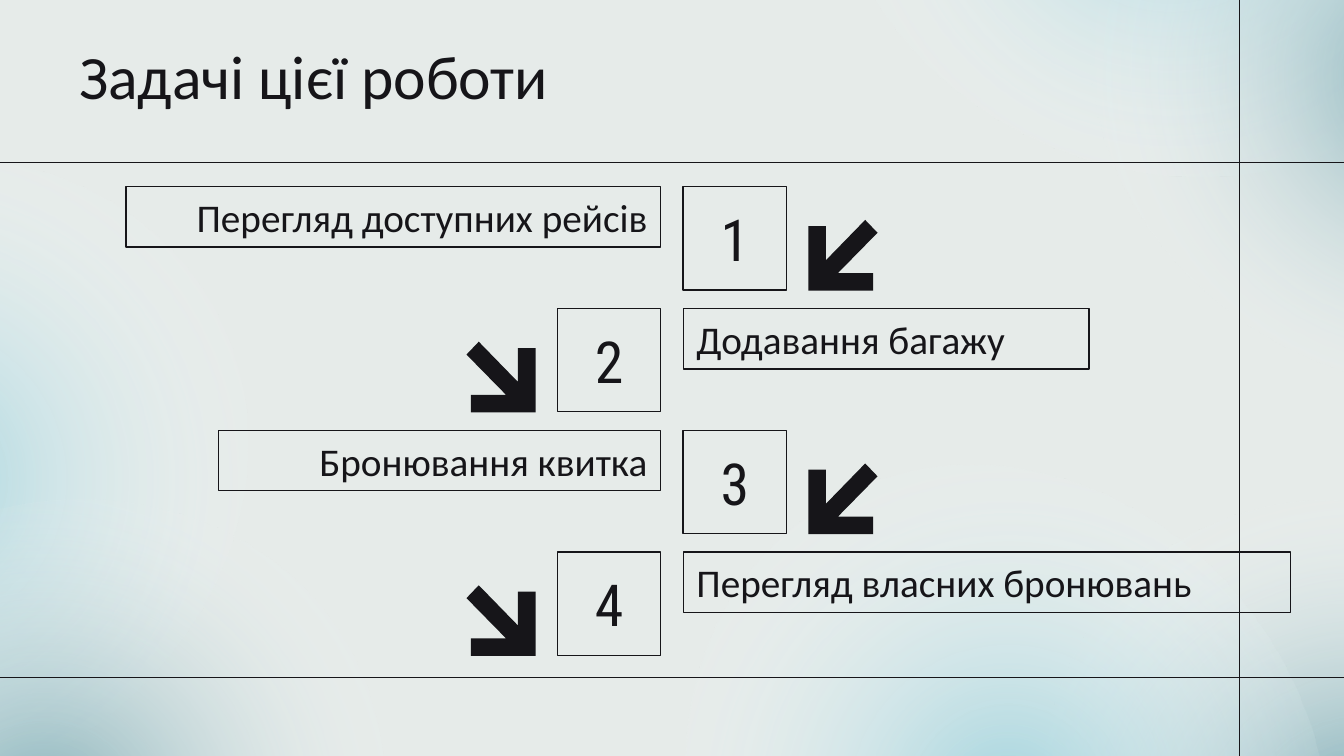
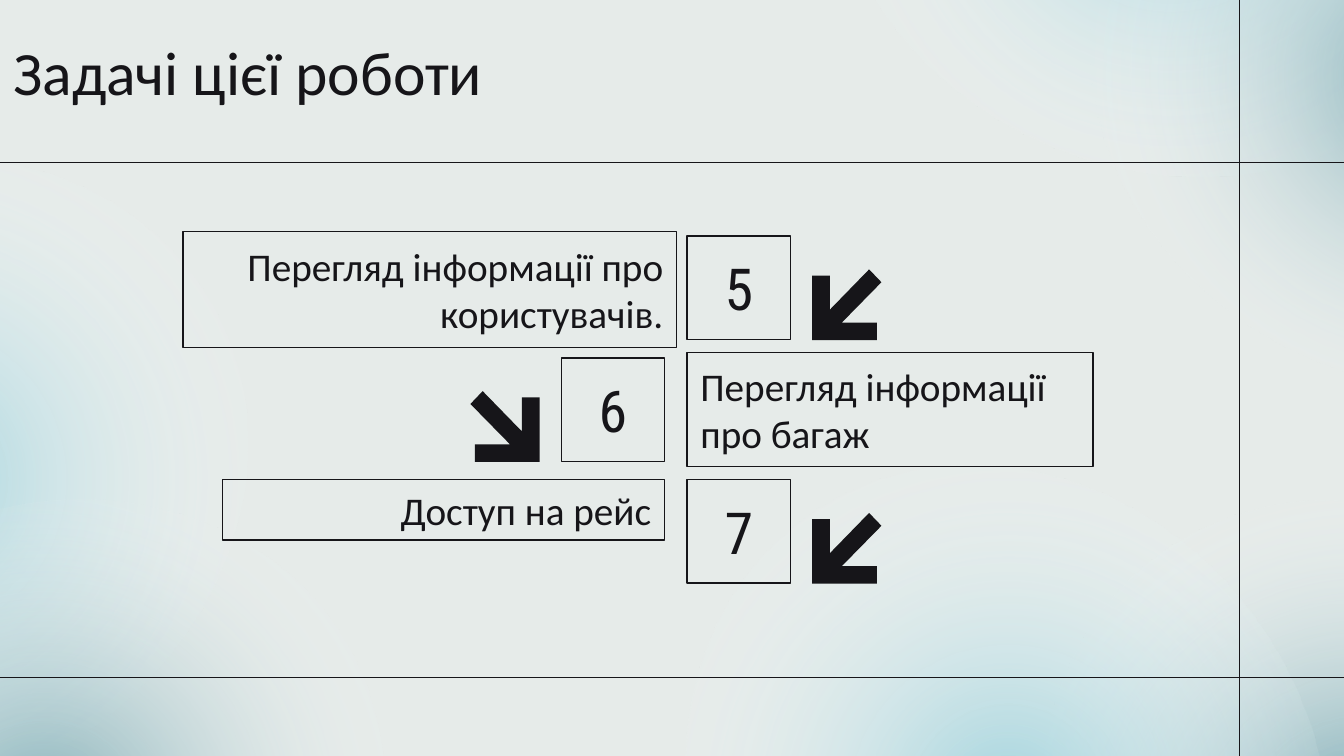
from collections import namedtuple

from lxml.etree import SubElement
from pptx import Presentation
from pptx.dml.color import RGBColor
from pptx.enum.shapes import MSO_CONNECTOR, MSO_SHAPE
from pptx.enum.text import MSO_ANCHOR, MSO_AUTO_SIZE, PP_ALIGN
from pptx.oxml import parse_xml
from pptx.oxml.ns import nsdecls, qn
from pptx.util import Pt

Box = namedtuple("Box", "left top width height")
Step = namedtuple("Step", "text width height dx dy", defaults=(32.4, 0, 0))

COLORS = {
    "paper": "E6EBE9",
    "ink": "161519",
    "teal": "4E909E",
    "sky": "80C8D8",
    "clear": "FFFFFF",
}
SLIDE_W, SLIDE_H = 720, 405
RULE_W = 0.75
GLOW_W, GLOW_H = 375.8, 331.2
# left, top, rotation, colour, opacity in percent
GLOWS = [
    (542.2, 284.4, 237.1, "teal", 81),
    (352.1, 265, 237.1, "sky", 68),
    (439.2, -239.8, 202, "sky", 68),
    (581, -125.3, 202, "teal", 68),
    (-237.6, 90.7, 149, "sky", 68),
    (-164.9, 273.6, 149, "teal", 68),
]
RULES = [
    (0, 87.1, SLIDE_W, 87.1),
    (664, 0, 664, SLIDE_H),
    (0, 363, SLIDE_W, 363),
]
TITLE_STYLE = {"name": "Calibri", "size": Pt(33), "bold": False}
LABEL_STYLE = {"name": "Calibri", "size": Pt(21), "bold": False}
NUMBER_STYLE = {"name": "Roboto Condensed", "size": Pt(31), "bold": False}
FRAME_FORMAT = {
    "word_wrap": True,
    "auto_size": MSO_AUTO_SIZE.NONE,
    "vertical_anchor": MSO_ANCHOR.MIDDLE,
    "margin_left": Pt(7.2),
    "margin_right": Pt(7.2),
    "margin_top": Pt(7.2),
    "margin_bottom": Pt(7.2),
}

NUMBER_SIZE = 55.4
STEP_PITCH = 65.25
ARROW_SIZE = 37.4
ARROW_GAP = 11.3
# Outline of the arrow that points down and to the right
ARROW = [
    (6.6, 0), (0, 6.9), (21.2, 28.5), (2.4, 28.5), (2.4, 37.9),
    (37.1, 37.9), (37.1, 3.4), (27.6, 3.4), (27.6, 21.6),
]


def color(name):
    return RGBColor.from_string(COLORS[name])


def points(values):
    return [Pt(v) for v in values]


def set_attributes(obj, values):
    for name, value in values.items():
        setattr(obj, name, value)


def write_text(sp, text, style, align):
    tf = sp.text_frame
    set_attributes(tf, FRAME_FORMAT)
    p = tf.paragraphs[0]
    p.alignment = align
    r = p.add_run()
    r.text = text
    set_attributes(r.font, style)
    r.font.color.rgb = color("ink")


def add_outlined_box(s, box, text, style, align):
    sp = s.shapes.add_shape(MSO_SHAPE.RECTANGLE, *points(box))
    sp.shadow.inherit = False
    sp.fill.background()
    sp.line.color.rgb = color("ink")
    sp.line.width = Pt(RULE_W)
    write_text(sp, text, style, align)


def add_glow(s, left, top, rotation, name, opacity):
    """Add an ellipse that fades radially from a colour to nothing."""
    sp = s.shapes.add_shape(
        MSO_SHAPE.OVAL, *points((left, top, GLOW_W, GLOW_H)))
    sp.rotation = rotation
    sp.shadow.inherit = False
    sp.line.fill.background()
    stops = "".join(
        f'<a:gs pos="{pos * 1000}"><a:srgbClr val="{COLORS[key]}">'
        f'<a:alpha val="{alpha * 1000}"/></a:srgbClr></a:gs>'
        for pos, key, alpha in [
            (0, name, opacity), (58, "clear", 0), (100, "clear", 0)])
    sp.element.spPr.find(qn("a:prstGeom")).addnext(parse_xml(
        f'<a:gradFill {nsdecls("a")} rotWithShape="1"><a:gsLst>{stops}'
        '</a:gsLst><a:path path="circle"><a:fillToRect l="50000" t="50000" '
        'r="50000" b="50000"/></a:path></a:gradFill>'))
    return sp


def add_rule(s, *ends):
    line = s.shapes.add_connector(MSO_CONNECTOR.STRAIGHT, *points(ends))
    line.line.color.rgb = color("ink")
    line.line.width = Pt(RULE_W)
    SubElement(line.element.spPr, qn("a:effectLst"))
    return line


def build_layout(prs, layout):
    """Give the layout the paper, glows and rules that every slide shares."""
    layout.background.fill.solid()
    layout.background.fill.fore_color.rgb = color("paper")
    for ph in list(layout.placeholders)[1:]:
        layout.shapes.element.remove(ph.element)
    s = prs.slides.add_slide(layout)
    parts = [add_glow(s, *glow) for glow in GLOWS]
    parts += [add_rule(s, *rule) for rule in RULES]
    for part in parts:
        layout.shapes.element.append(part.element)
    return s


def add_title(s, box, text):
    title = s.shapes.title
    set_attributes(title, dict(zip(Box._fields, points(box))))
    write_text(title, text, TITLE_STYLE, PP_ALIGN.LEFT)


def add_arrow(s, left, top, mirrored):
    outline = [
        (Pt(left + (ARROW_SIZE - x if mirrored else x)), Pt(top + y))
        for x, y in ARROW]
    builder = s.shapes.build_freeform(*outline[0], scale=1.0)
    builder.add_line_segments(outline[1:], close=True)
    sp = builder.convert_to_shape()
    sp.shadow.inherit = False
    sp.fill.solid()
    sp.fill.fore_color.rgb = color("ink")
    sp.line.fill.background()


def add_step(s, box, number, step):
    """Odd steps have the number in the right column, even ones in the left."""
    odd = number % 2 == 1
    right_col = box.left + box.width - NUMBER_SIZE
    left_end = box.left + NUMBER_SIZE
    if odd:
        number_left = right_col
        label_left = left_end - step.width + step.dx
        arrow_left = right_col + NUMBER_SIZE + ARROW_GAP
        align = PP_ALIGN.RIGHT
    else:
        number_left = box.left
        label_left = right_col + step.dx
        arrow_left = box.left - ARROW_GAP - ARROW_SIZE
        align = PP_ALIGN.LEFT
    label = Box(label_left, box.top + step.dy, step.width, step.height)
    add_outlined_box(s, label, step.text, LABEL_STYLE, align)
    square = Box(number_left, box.top, NUMBER_SIZE, NUMBER_SIZE)
    add_outlined_box(s, square, str(number), NUMBER_STYLE, PP_ALIGN.CENTER)
    add_arrow(s, arrow_left, box.top + NUMBER_SIZE - 37.6, odd)


def build_tasks_slide(s, title_box, steps_box, first, steps):
    add_title(s, title_box, "Задачі цієї роботи")
    for i, step in enumerate(steps):
        row = steps_box._replace(
            top=steps_box.top + i * STEP_PITCH, height=NUMBER_SIZE)
        add_step(s, row, first + i, step)


def main():
    prs = Presentation()
    prs.slide_width, prs.slide_height = Pt(SLIDE_W), Pt(SLIDE_H)
    layout = prs.slide_layouts[5]
    build_tasks_slide(
        build_layout(prs, layout),
        Box(35.3, 17.3, 607.7, 45.4),
        Box(298.6, 100, 122.8, 251.2),
        1,
        [
            Step("Перегляд доступних рейсів", 286.6),
            Step("Додавання багажу", 217.4),
            Step("Бронювання квитка", 236.9),
            Step("Перегляд власних бронювань", 325.4),
        ])
    build_tasks_slide(
        prs.slides.add_slide(layout),
        Box(0, 15.1, 607.7, 45.4),
        Box(300.7, 126.5, 122.8, 185.9),
        5,
        [
            Step("Перегляд інформації про користувачів.",
                 264.5, 62.4, 6.4, -2.6),
            Step("Перегляд інформації про багаж", 217.4, 61.2, 0, -3),
            Step("Доступ на рейс", 236.9),
        ])
    prs.save("out.pptx")


if __name__ == "__main__":
    main()
